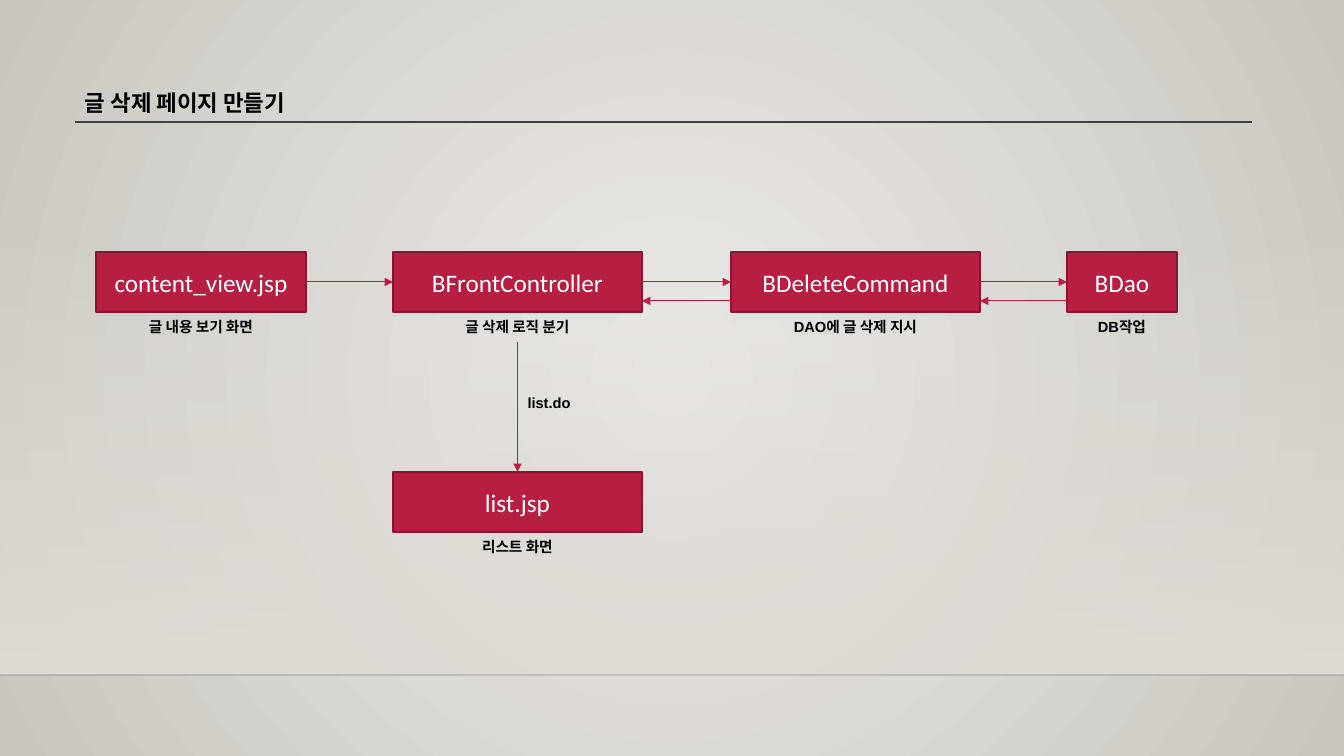
from lxml import etree
from pptx import Presentation
from pptx.dml.color import RGBColor
from pptx.enum.shapes import MSO_CONNECTOR, MSO_SHAPE
from pptx.enum.text import MSO_ANCHOR, MSO_AUTO_SIZE, PP_ALIGN
from pptx.oxml.ns import qn
from pptx.util import Pt

STRAIGHT, RECTANGLE = MSO_CONNECTOR.STRAIGHT, MSO_SHAPE.RECTANGLE
MIDDLE, GROW = MSO_ANCHOR.MIDDLE, MSO_AUTO_SIZE.SHAPE_TO_FIT_TEXT
LEFT, CENTER = PP_ALIGN.LEFT, PP_ALIGN.CENTER
PX = 12192000 / 1344
WIDTH, HEIGHT = 1344, 756
BOX_HEIGHT, LABEL_HEIGHT = 60, 29
ROW_TOP, LIST_TOP, RETURN_Y = 252, 472, 301
FLOOR_TOP, FLOOR_LINE = 223, 675
COLORS = {name: RGBColor.from_string(value) for name, value in {
    "glow": "ECEAE7", "edge": "CAC7C1", "wall": "DFDBD5", "horizon": "000001",
    "rule": "404040", "box": "B71E42", "border": "871631",
    "text": "000000", "white": "FFFFFF"}.items()}


def add_line(x1, y1, x2, y2, color, width, arrow=False):
    line = slide.shapes.add_connector(
        STRAIGHT, *(round(n * PX) for n in (x1, y1, x2, y2)))
    line.line.color.rgb = COLORS[color]
    line.line.width = Pt(width)
    if arrow:
        etree.SubElement(line.line._get_or_add_ln(), qn("a:tailEnd"), type="triangle")
    etree.SubElement(line._element.spPr, qn("a:effectLst"))
    return line


def add_text(left, top, width, height, text, size, align=CENTER):
    """Add bold text in a box that grows with its wording."""
    box = slide.shapes.add_textbox(*(round(n * PX) for n in (left, top, width, height)))
    box.text_frame.word_wrap = True
    box.text_frame.auto_size = GROW
    para = box.text_frame.paragraphs[0]
    para.text = text
    para.alignment = align
    font = para.runs[0].font
    font.name, font.size, font.bold = "Arial", Pt(size), True
    font.color.rgb = COLORS["text"]
    return box


deck = Presentation()
deck.slide_width, deck.slide_height = round(WIDTH * PX), round(HEIGHT * PX)
slide = deck.slides.add_slide(deck.slide_layouts[6])

# Radial backdrop
backdrop = slide.background.fill
backdrop.gradient()
for stop, name in zip(backdrop.gradient_stops, ("glow", "edge")):
    stop.color.rgb = COLORS[name]
    stop.position = 0 if name == "glow" else 1
direction = slide.background._cSld.find(".//" + qn("a:lin"))
circle = etree.Element(qn("a:path"), path="circle")
etree.SubElement(circle, qn("a:fillToRect"), l="50000", t="50000", r="50000", b="50000")
direction.getparent().replace(direction, circle)

# Wall that fades in towards the horizon
wall = slide.shapes.add_shape(
    RECTANGLE, 0, round(FLOOR_TOP * PX), deck.slide_width,
    round((FLOOR_LINE - FLOOR_TOP) * PX))
wall.shadow.inherit = False
wall.line.fill.background()
wall.fill.gradient()
wall.fill.gradient_angle = 270
for position, stop in enumerate(wall.fill.gradient_stops):
    stop.color.rgb = COLORS["wall"]
    stop.position = position
clear = wall._element.spPr.find(".//" + qn("a:srgbClr"))
etree.SubElement(clear, qn("a:alpha"), val="0")
horizon = add_line(0, FLOOR_LINE, WIDTH, FLOOR_LINE, "horizon", 1)
ink = horizon._element.spPr.find(".//" + qn("a:srgbClr"))
etree.SubElement(ink, qn("a:alpha"), val="20000")

# Title
add_text(75, 84, 1177, 37, "글 삭제 페이지 만들기", 16, LEFT)
add_line(75, 122, 1252, 122, "rule", 1)

# Boxes with their captions
steps = [
    (96, ROW_TOP, 210, "content_view.jsp", "글 내용 보기 화면"),
    (393, ROW_TOP, 249, "BFrontController", "글 삭제 로직 분기"),
    (731, ROW_TOP, 249, "BDeleteCommand", "DAO에 글 삭제 지시"),
    (1067, ROW_TOP, 110, "BDao", "DB작업"),
    (393, LIST_TOP, 249, "list.jsp", "리스트 화면"),
]
boxes, captions = [], []
for left, top, width, name, caption in steps:
    box = slide.shapes.add_shape(
        RECTANGLE, *(round(n * PX) for n in (left, top, width, BOX_HEIGHT)))
    box.shadow.inherit = False
    box.fill.solid()
    box.fill.fore_color.rgb = COLORS["box"]
    box.line.color.rgb = COLORS["border"]
    box.line.width = Pt(1.25)
    box.text_frame.vertical_anchor = MIDDLE
    para = box.text_frame.paragraphs[0]
    para.text = name
    para.alignment = CENTER
    font = para.runs[0].font
    font.name, font.size = "Calibri", Pt(18)
    font.color.rgb = COLORS["white"]
    boxes.append(box)
    captions.append(add_text(left, top + BOX_HEIGHT + 1, width, LABEL_HEIGHT, caption, 10.5))

# Calls run right along the row; answers come back below them
row = steps[:4]
for index, (step, following) in enumerate(zip(row, row[1:])):
    start, end = step[0] + step[2], following[0]
    middle = ROW_TOP + BOX_HEIGHT // 2
    call = add_line(start, middle, end, middle, "box", 0.75, arrow=True)
    call.begin_connect(boxes[index], 3)
    call.end_connect(boxes[index + 1], 1)
    if index > 0:
        add_line(end, RETURN_Y, start, RETURN_Y, "box", 0.75, arrow=True)

# Redirect to the list
redirect = add_line(518, 342, 518, LIST_TOP, "box", 0.75, arrow=True)
redirect.begin_connect(captions[1], 2)
redirect.end_connect(boxes[4], 0)
add_text(507, 389, 84, LABEL_HEIGHT, "list.do", 10.5)

deck.save("out.pptx")
